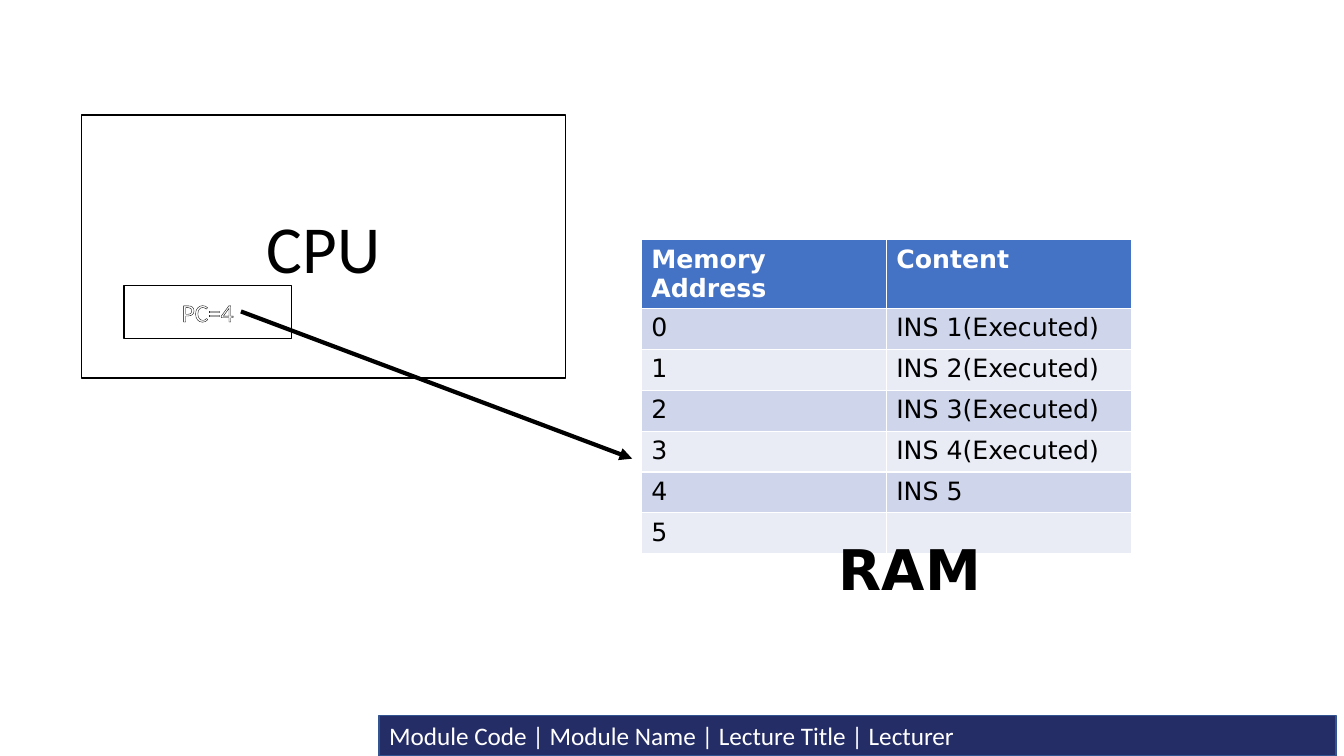
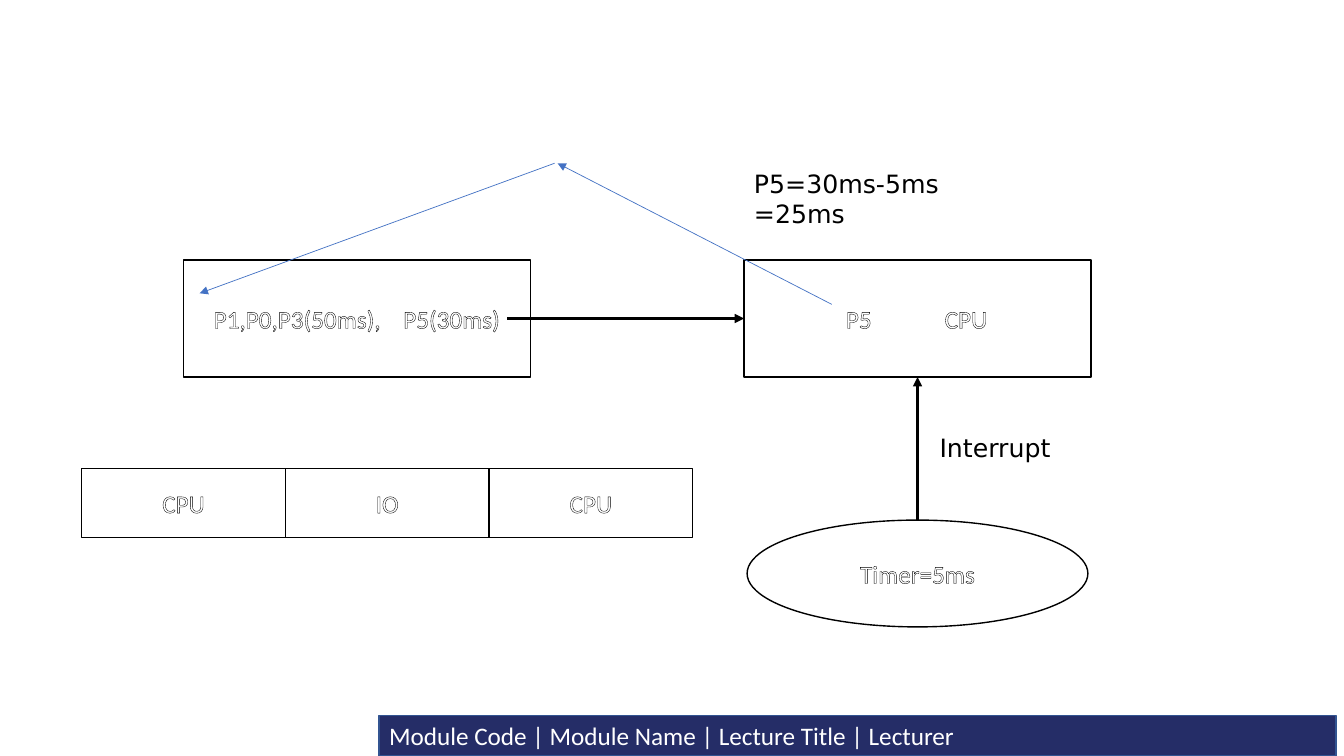
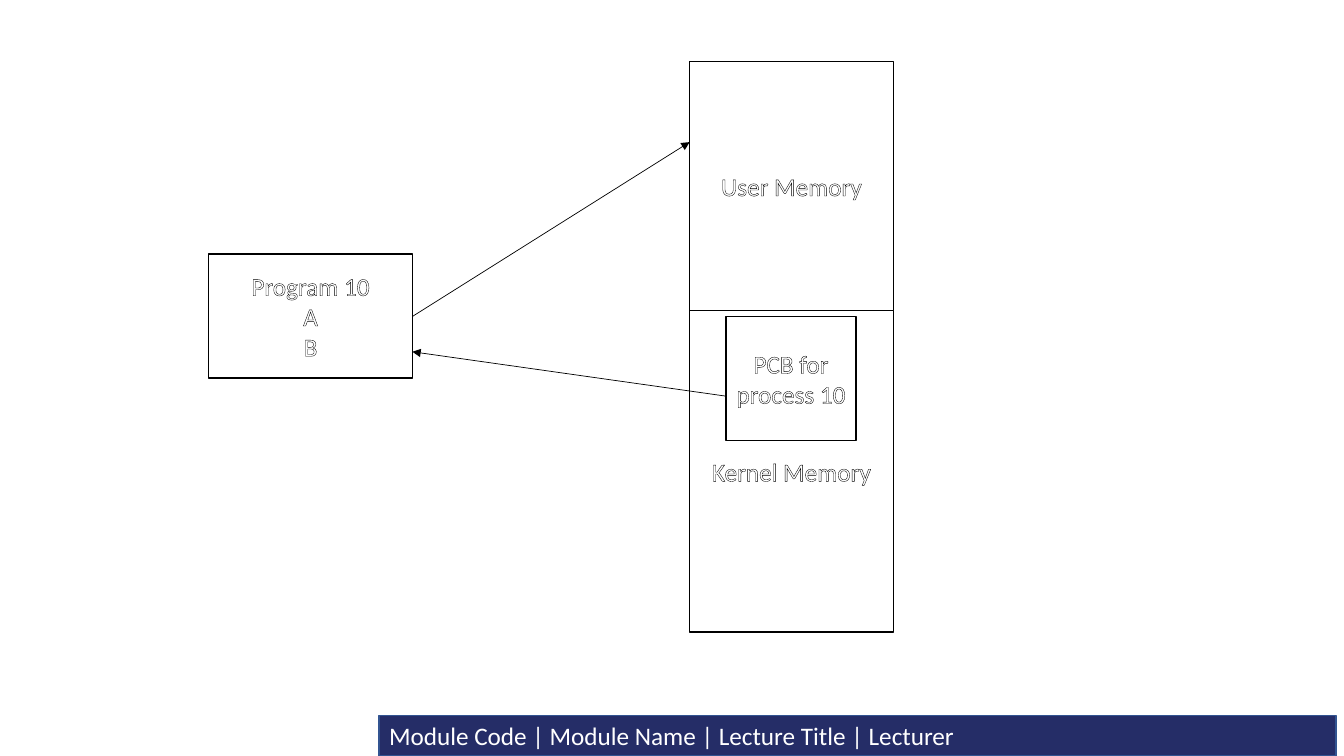
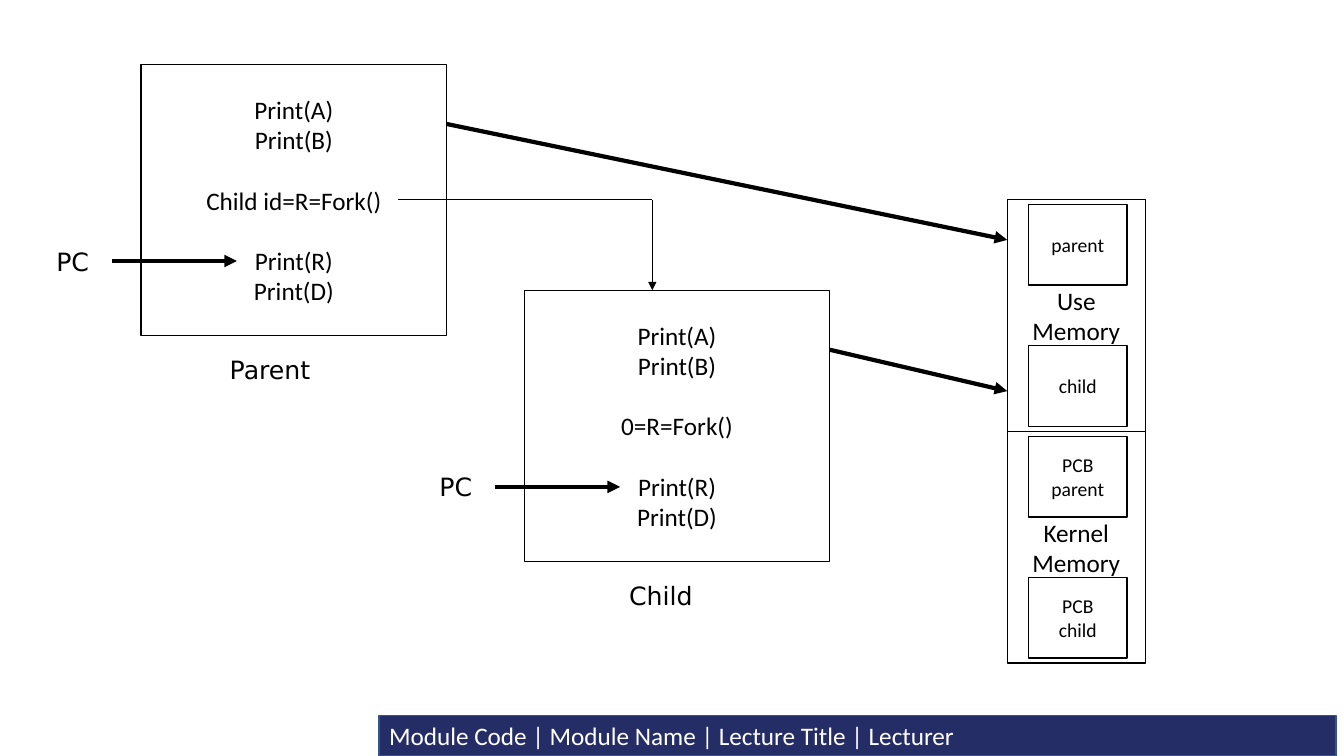
import pptx
import pptx.dml.color
import pptx.enum.shapes
import pptx.enum.text
import pptx.oxml
import pptx.oxml.ns
import pptx.util
from lxml import etree

Inches = pptx.util.Inches
Pt = pptx.util.Pt
RGBColor = pptx.dml.color.RGBColor
SHAPE = pptx.enum.shapes.MSO_SHAPE
ALIGN = pptx.enum.text.PP_ALIGN
qn = pptx.oxml.ns.qn

WHITE = RGBColor(0xFF, 0xFF, 0xFF)
BLACK = RGBColor(0, 0, 0)
NAVY = RGBColor(0x25, 0x2D, 0x67)
EDGE = RGBColor(0x32, 0x54, 0x91)
BLUE = RGBColor(0x44, 0x72, 0xC4)
BANDS = RGBColor(0xCF, 0xD5, 0xEA), RGBColor(0xE9, 0xEB, 0xF5)
SANS = "Calibri"
WIDE = "DejaVu Sans"


def style(frame, size, font, color, bold=False, align=None):
    for para in frame.paragraphs:
        para.alignment = align
        for run in para.runs:
            run.font.size = Pt(size)
            run.font.name = font
            run.font.bold = bold
            run.font.color.rgb = color


def outline(frame):
    """Draw a thin black contour around the letters."""
    for para in frame.paragraphs:
        for run in para.runs:
            line = etree.Element(qn("a:ln"), w=str(Pt(0.75)))
            fill = etree.SubElement(line, qn("a:solidFill"))
            etree.SubElement(fill, qn("a:srgbClr"), val=str(BLACK))
            run.font._element.insert(0, line)


def panel(slide, x, y, w, h, text, fill=WHITE, edge=BLACK, kind=SHAPE.RECTANGLE):
    shape = slide.shapes.add_shape(kind, Inches(x), Inches(y), Inches(w), Inches(h))
    shape.shadow.inherit = False
    shape.fill.solid()
    shape.fill.fore_color.rgb = fill
    shape.line.color.rgb = edge
    shape.line.width = Pt(1)
    frame = shape.text_frame
    frame.word_wrap = True
    frame.vertical_anchor = pptx.enum.text.MSO_ANCHOR.MIDDLE
    frame.text = text
    return shape


def box(slide, x, y, w, h, text, color=WHITE, size=18, kind=SHAPE.RECTANGLE):
    """Add a black-edged box with centred, contoured text."""
    shape = panel(slide, x, y, w, h, text, kind=kind)
    style(shape.text_frame, size, SANS, color, align=ALIGN.CENTER)
    outline(shape.text_frame)
    return shape


def split(shape, inset, stop):
    """Start the text at inset and its second part at a tab stop."""
    frame = shape.text_frame
    frame.margin_left = Inches(inset)
    para = frame.paragraphs[0]
    para.alignment = ALIGN.LEFT
    tabs = etree.SubElement(para._p.get_or_add_pPr(), qn("a:tabLst"))
    etree.SubElement(tabs, qn("a:tab"), pos=str(Inches(stop)), algn="l")


def label(slide, x, y, w, h, text, size=18, bold=False):
    frame = slide.shapes.add_textbox(
        Inches(x), Inches(y), Inches(w), Inches(h)).text_frame
    frame.word_wrap = True
    frame.text = text
    style(frame, size, WIDE, BLACK, bold)


def line(slide, x1, y1, x2, y2, width=0.5, color=BLACK, head=True):
    link = slide.shapes.add_connector(
        pptx.enum.shapes.MSO_CONNECTOR.STRAIGHT,
        Inches(x1), Inches(y1), Inches(x2), Inches(y2))
    link.line.color.rgb = color
    link.line.width = Pt(width)
    if head:
        etree.SubElement(link.line._get_or_add_ln(), qn("a:tailEnd"), type="triangle")
    etree.SubElement(link._element.spPr, qn("a:effectLst"))


def footer(slide):
    """Put the footer bar on the layout, so that every slide shows it."""
    bar = panel(slide, 3.76, 7.1, 9.49, 0.4,
                "Module Code | Module Name | Lecture Title | Lecturer", NAVY, EDGE)
    style(bar.text_frame, 18, SANS, WHITE, align=ALIGN.LEFT)
    slide.slide_layout.shapes._spTree.append(bar._element)


def ram(slide, x, y, w, h):
    rows = [("Memory Address", "Content")]
    rows += [(str(n), f"INS {n + 1}(Executed)") for n in range(4)]
    rows += [("4", "INS 5"), ("5", "")]
    table = slide.shapes.add_table(
        len(rows), 2, Inches(x), Inches(y), Inches(w), Inches(h)).table
    for r, row in enumerate(rows):
        for c, text in enumerate(row):
            cell = table.cell(r, c)
            cell.text = text
            cell.fill.solid()
            cell.fill.fore_color.rgb = BANDS[(r - 1) % 2] if r else BLUE
            style(cell.text_frame, 18, WIDE, BLACK if r else WHITE, not r)
    label(slide, x + 1.86, y + 2.87, 1.94, 0.77, "RAM", 40, True)


def cpu(slide, x, y, w, h):
    box(slide, x, y, w, h, "CPU", BLACK, 48)
    box(slide, x + 0.42, y + 1.69, 1.66, 0.53, "PC=4")


def fetch(slide):
    ram(slide, 6.36, 2.38, 4.86, 2.84)
    cpu(slide, 0.81, 1.14, 4.8, 2.61)
    line(slide, 2.39, 3.09, 6.27, 4.55, 3)


def bursts(slide, x, y, w, h):
    for n, text in enumerate(("CPU", "IO", "CPU")):
        box(slide, x + n * w, y, w, h, text)


def timer(slide, x, y, w, h):
    mid = x + w / 2
    box(slide, x, y, w, h, "Timer=5ms", kind=SHAPE.OVAL)
    line(slide, mid, y, mid, y - 1.42, 2.25)
    label(slide, mid + 0.12, y - 0.92, 2.28, 0.4, "Interrupt")


def queue(slide):
    split(box(slide, 7.38, 2.58, 3.44, 1.16, "P5\tCPU"), 1.01, 0.98)
    timer(slide, 7.41, 5.16, 3.38, 1.06)
    split(box(slide, 1.82, 2.58, 3.44, 1.16, "P1,P0,P3(50ms),\tP5(30ms)"), 0.3, 1.88)
    line(slide, 5.03, 3.16, 7.38, 3.16, 2.25)
    label(slide, 7.38, 1.62, 2.47, 0.71, "P5=30ms-5ms =25ms")
    line(slide, 8.25, 3.02, 5.53, 1.62, color=BLUE)
    line(slide, 5.5, 1.62, 1.98, 2.91, color=BLUE)
    bursts(slide, 0.81, 4.65, 2.02, 0.68)


def load(slide):
    """Show a program entering memory and its control block."""
    box(slide, 6.84, 0.61, 2.02, 2.47, "User Memory")
    box(slide, 6.84, 3.08, 2.02, 3.19, "Kernel Memory")
    box(slide, 2.07, 2.52, 2.02, 1.23, "Program 10\nA\vB")
    line(slide, 4.09, 3.14, 6.84, 1.41)
    box(slide, 7.2, 3.14, 1.29, 1.23, "PCB for process 10")
    line(slide, 7.2, 3.93, 4.09, 3.49)


def code(slide, x, y, name, call, shift):
    """Show a forking program with its name and program counter."""
    text = f"Print(A)\nPrint(B)\n{call}\nPrint(R)\nPrint(D)"
    shape = box(slide, x, y, 3.03, 2.69, text, BLACK)
    for n in (2, 3):
        shape.text_frame.paragraphs[n].space_before = Pt(21.6)
    label(slide, x + shift, y + 2.83, 1.52, 0.4, name)
    line(slide, x - 0.29, y + 1.95, x + 0.95, y + 1.95, 3)
    label(slide, x - 0.94, y + 1.75, 1.52, 0.4, "PC")


def memory(slide, x, y, name, slots):
    box(slide, x, y, 1.37, 2.3, name, BLACK)
    for n, text in enumerate(slots):
        box(slide, x + 0.21, y + 0.05 + n * 1.4, 0.98, 0.8, text, BLACK, 14)


def fork(slide):
    code(slide, 1.4, 0.64, "Parent", "Child id=R=Fork()", 0.78)
    code(slide, 5.2, 2.88, "Child", "0=R=Fork()", 0.94)
    line(slide, 3.95, 1.98, 6.47, 1.98, head=False)
    line(slide, 6.47, 1.98, 6.47, 2.88)
    memory(slide, 9.99, 1.98, "Use Memory", ("parent", "child"))
    memory(slide, 9.99, 4.28, "Kernel Memory", ("PCB\nparent", "PCB\nchild"))
    line(slide, 4.43, 1.23, 9.99, 2.38, 3)
    line(slide, 8.23, 3.47, 9.99, 3.88, 3)


def main():
    deck = pptx.Presentation()
    deck.slide_width = Inches(13.33)
    deck.slide_height = Inches(7.5)
    blank = deck.slide_layouts[6]
    for n, draw in enumerate((fetch, queue, load, fork)):
        slide = deck.slides.add_slide(blank)
        if n == 0:
            footer(slide)
        draw(slide)
    deck.save("out.pptx")


if __name__ == "__main__":
    main()
